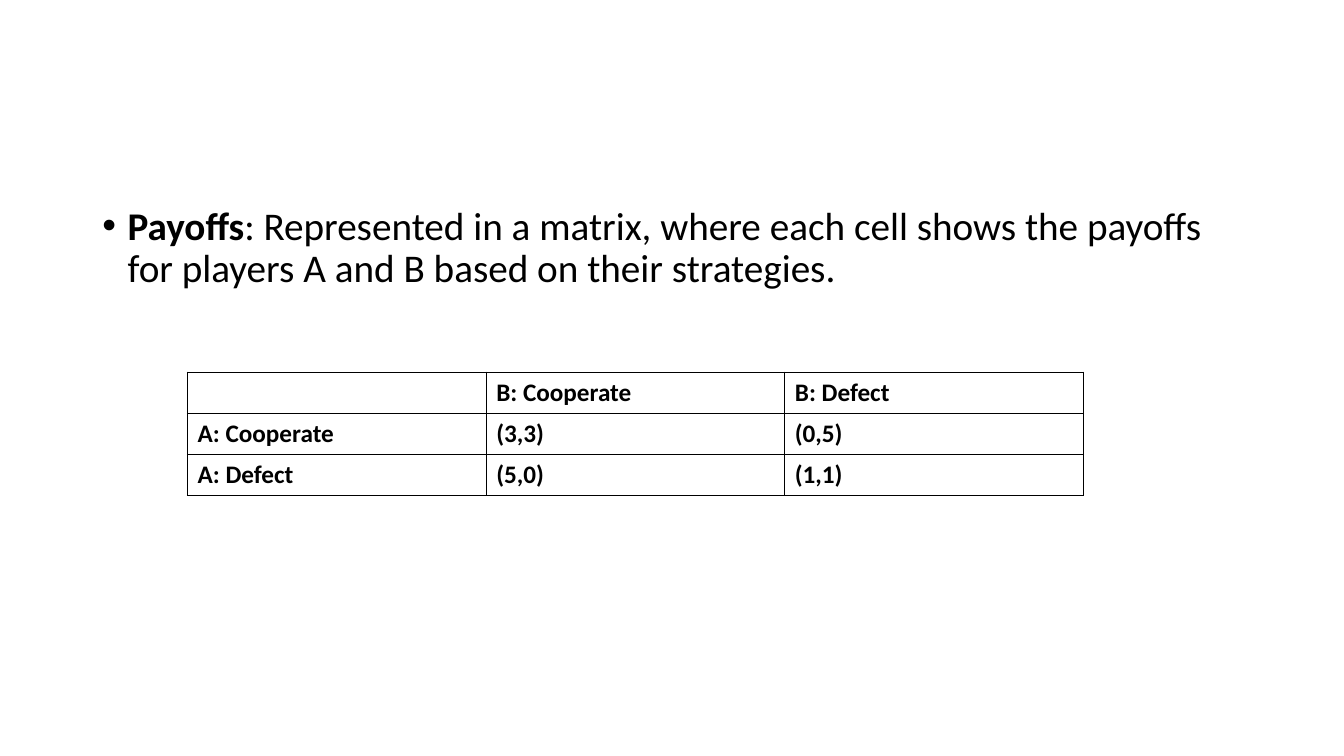
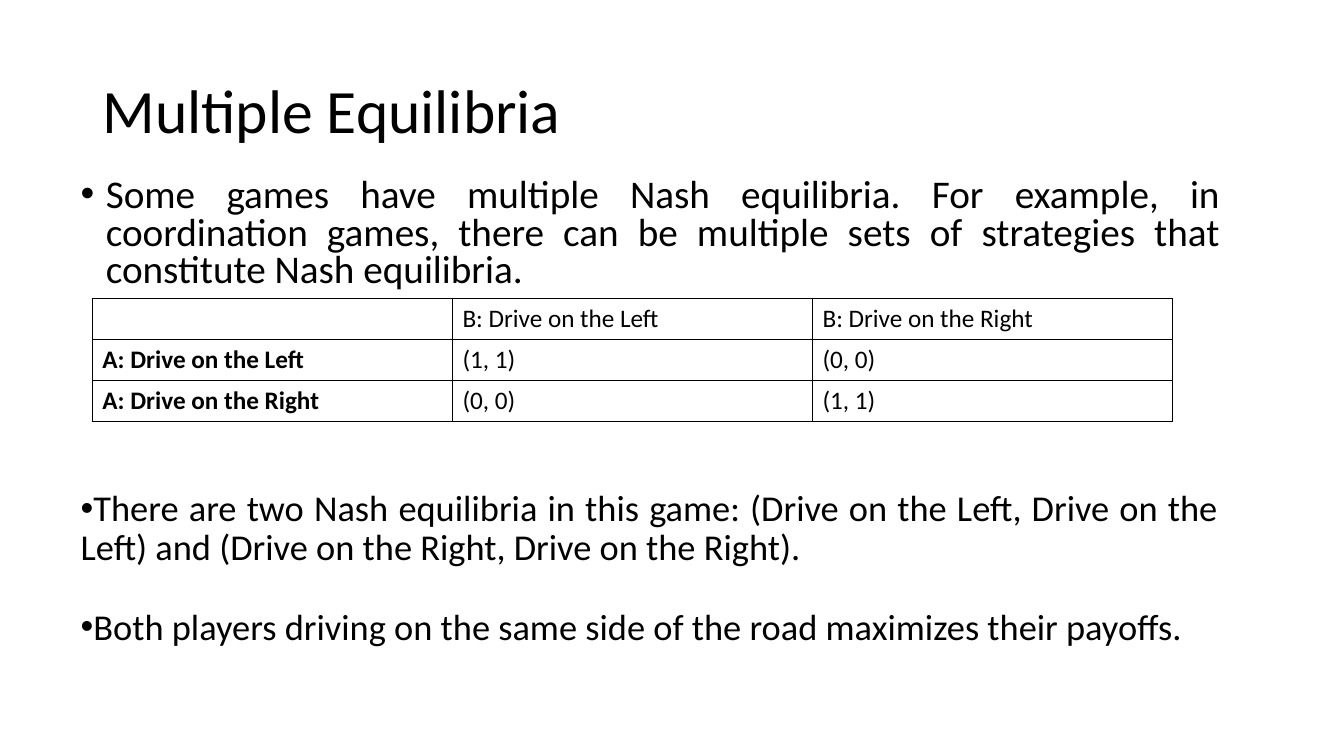
from lxml import etree
from pptx import Presentation
from pptx.dml.color import RGBColor
from pptx.enum.text import MSO_ANCHOR, MSO_AUTO_SIZE, PP_ALIGN
from pptx.oxml.ns import qn
from pptx.util import Pt

MIDDLE = MSO_ANCHOR.MIDDLE
TOP = MSO_ANCHOR.TOP
NO_AUTOFIT = MSO_AUTO_SIZE.NONE
LEFT = PP_ALIGN.LEFT
JUSTIFY = PP_ALIGN.JUSTIFY

COLORS = {"text": "000000", "border": "000000"}
FONT = "Calibri"
TITLE_SIZE, BODY_SIZE, DETAIL_SIZE, TABLE_SIZE = 44, 28, 26, 18
BODY_WIDTH, BODY_HEIGHT = 828, 342.6
HANGING = 18
ROW_HEIGHT = 29.4
BORDER_WIDTH = 1


def place(shape, left, top, width, height):
    shape.left, shape.top = Pt(left), Pt(top)
    shape.width, shape.height = Pt(width), Pt(height)


def add_run(paragraph, text, size, bold=False):
    run = paragraph.add_run()
    run.text = text
    run.font.name = FONT
    run.font.size = Pt(size)
    run.font.bold = bold
    run.font.color.rgb = RGBColor.from_string(COLORS["text"])


def format_frame(frame, anchor):
    frame.word_wrap = True
    frame.auto_size = NO_AUTOFIT
    frame.vertical_anchor = anchor


def fill_title(slide, text):
    title = slide.shapes.title
    place(title, 66, 28.8, BODY_WIDTH, 104.4)
    format_frame(title.text_frame, MIDDLE)
    paragraph = title.text_frame.paragraphs[0]
    paragraph.alignment = JUSTIFY
    paragraph.line_spacing = 0.9
    add_run(paragraph, text, TITLE_SIZE)


def prepare_body(slide, left, top):
    body = slide.placeholders[1]
    place(body, left, top, BODY_WIDTH, BODY_HEIGHT)
    format_frame(body.text_frame, TOP)
    return body.text_frame


def format_bullet(paragraph, alignment, line_spacing, indent=0, space_before=0):
    properties = paragraph._p.get_or_add_pPr()
    properties.set("marL", str(Pt(indent)))
    properties.set("indent", str(-Pt(indent)))
    font = etree.SubElement(properties, qn("a:buFont"))
    font.set("typeface", "Arial")
    etree.SubElement(properties, qn("a:buChar")).set("char", "•")
    paragraph.alignment = alignment
    paragraph.line_spacing = line_spacing
    paragraph.space_before = Pt(space_before)


def add_borders(cell):
    properties = cell._tc.get_or_add_tcPr()
    for position, side in enumerate(("lnL", "lnR", "lnT", "lnB")):
        line = etree.Element(qn(f"a:{side}"), w=str(Pt(BORDER_WIDTH)))
        fill = etree.SubElement(line, qn("a:solidFill"))
        etree.SubElement(fill, qn("a:srgbClr")).set("val", COLORS["border"])
        properties.insert(position, line)


def add_payoff_table(slide, left, top, width, rows, bold_columns):
    columns = len(rows[0])
    frame = slide.shapes.add_table(
        len(rows), columns, Pt(left), Pt(top), Pt(width), Pt(ROW_HEIGHT * len(rows))
    )
    table = frame.table
    table.first_row = False
    table.horz_banding = False
    for row_index, row in enumerate(rows):
        table.rows[row_index].height = Pt(ROW_HEIGHT)
        for column_index, text in enumerate(row):
            cell = table.cell(row_index, column_index)
            cell.fill.background()
            cell.vertical_anchor = MIDDLE
            add_borders(cell)
            if text:
                bold = column_index in bold_columns
                add_run(cell.text_frame.paragraphs[0], text, TABLE_SIZE, bold)


def build_payoffs(presentation):
    slide = presentation.slides.add_slide(presentation.slide_layouts[1])
    title = slide.shapes.title.element
    title.getparent().remove(title)
    paragraph = prepare_body(slide, 66, 144).paragraphs[0]
    format_bullet(paragraph, LEFT, 0.9, HANGING)
    add_run(paragraph, "Payoffs", BODY_SIZE, bold=True)
    add_run(
        paragraph,
        ": Represented in a matrix, where each cell shows the payoffs "
        "for players A and B based on their strategies.",
        BODY_SIZE,
    )
    rows = [
        ("", "B: Cooperate", "B: Defect"),
        ("A: Cooperate", "(3,3)", "(0,5)"),
        ("A: Defect", "(5,0)", "(1,1)"),
    ]
    add_payoff_table(slide, 134, 265.8, 640, rows, bold_columns=(0, 1, 2))


def build_equilibria(presentation):
    slide = presentation.slides.add_slide(presentation.slide_layouts[1])
    fill_title(slide, "Multiple Equilibria")
    frame = prepare_body(slide, 50.4, 123.8)
    introduction = frame.paragraphs[0]
    format_bullet(introduction, JUSTIFY, 0.8, HANGING)
    add_run(
        introduction,
        "Some games have multiple Nash equilibria. For example, in "
        "coordination games, there can be multiple sets of strategies that "
        "constitute Nash equilibria.",
        BODY_SIZE,
    )
    conclusions = [
        (
            "There are two Nash equilibria in this game: (Drive on the Left, "
            "Drive on the Left) and (Drive on the Right, Drive on the Right).",
            142,
        ),
        (
            "Both players driving on the same side of the road maximizes "
            "their payoffs.",
            28.5,
        ),
    ]
    for text, space_before in conclusions:
        paragraph = frame.add_paragraph()
        format_bullet(paragraph, JUSTIFY, 0.9, space_before=space_before)
        add_run(paragraph, text, DETAIL_SIZE)
    rows = [
        ("", "B: Drive on the Left", "B: Drive on the Right"),
        ("A: Drive on the Left", "(1, 1)", "(0, 0)"),
        ("A: Drive on the Right", "(0, 0)", "(1, 1)"),
    ]
    add_payoff_table(slide, 66, 213, 771.6, rows, bold_columns=(0,))


def main():
    presentation = Presentation()
    presentation.slide_width = Pt(960)
    presentation.slide_height = Pt(540)
    build_payoffs(presentation)
    build_equilibria(presentation)
    presentation.save("out.pptx")


if __name__ == "__main__":
    main()
